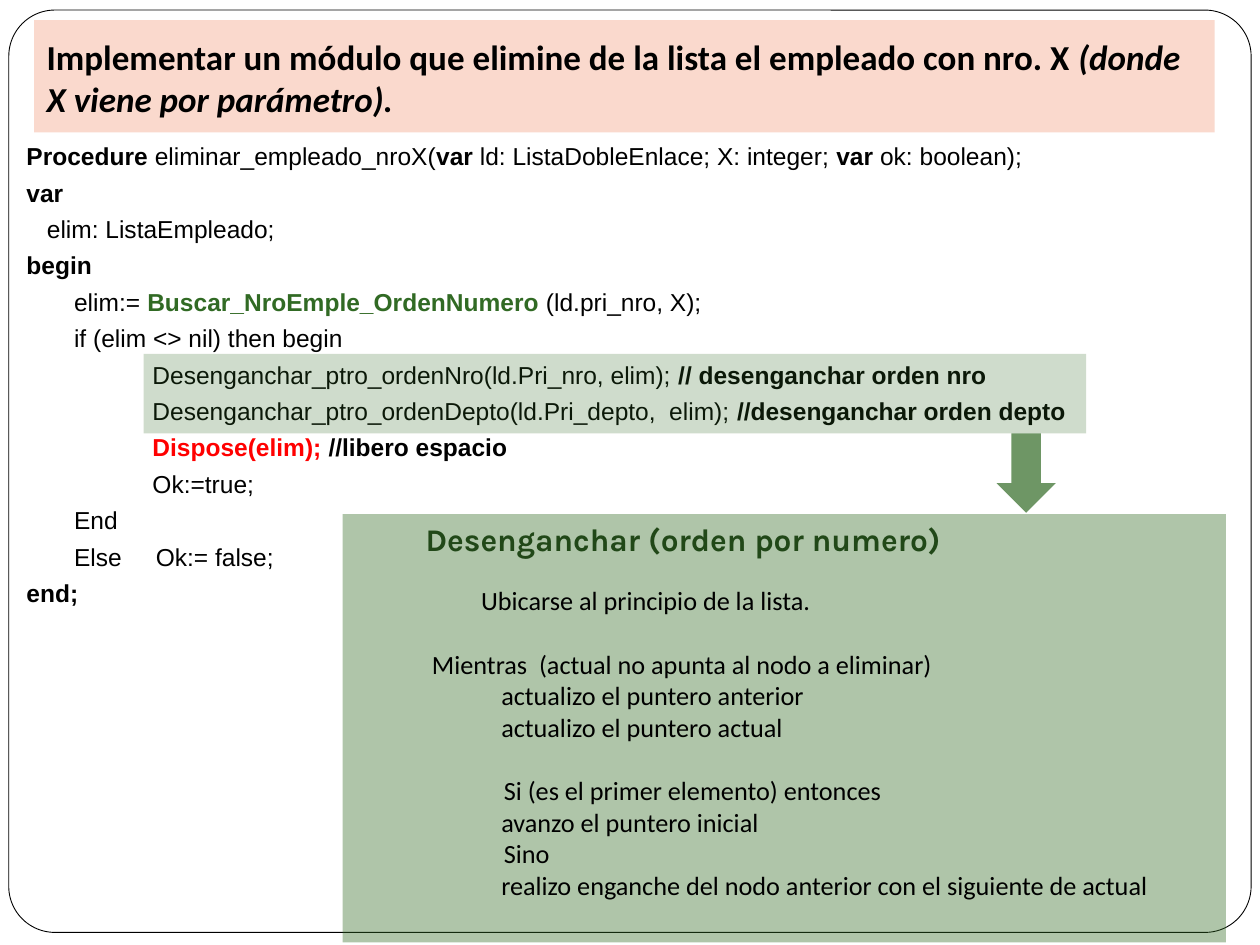
"""Build the slide on removing an employee from a doubly linked list."""
from dataclasses import dataclass

from lxml import etree
from pptx import Presentation
from pptx.dml.color import RGBColor
from pptx.enum import shapes, text
from pptx.oxml.ns import qn
from pptx.util import Inches, Pt


@dataclass(frozen=True)
class Theme:
    black: str = "000000"
    white: str = "FFFFFF"
    peach: str = "FAD9CD"
    green: str = "316A24"
    dark_green: str = "214818"
    red: str = "FF0000"
    statement_size: float = 20
    heading_size: float = 18
    step_size: float = 15
    code_size: float = 14
    code_font: str = "Arial"
    step_font: str = "Calibri"
    heading_font: str = "Karla"


@dataclass(frozen=True)
class Piece:
    words: str
    bold: bool = False
    color: str = Theme.black
    italic: bool = False


@dataclass(frozen=True)
class CodeLine:
    pieces: list[Piece]
    indent: float = 0


@dataclass(frozen=True)
class Step:
    words: str
    indent: float
    before: float = 0


@dataclass(frozen=True)
class Box:
    left: float
    top: float
    width: float
    height: float

    def lengths(self) -> tuple:
        return tuple(Inches(v) for v in (self.left, self.top, self.width, self.height))


THEME = Theme()

STATEMENT = [
    Piece("Implementar un módulo que elimine de la lista el empleado con nro. X ", True),
    Piece("(donde X viene por parámetro).", True, italic=True),
]

CODE = [
    CodeLine([Piece("Procedure", True), Piece(" eliminar_empleado_nroX("),
              Piece("var", True), Piece(" ld: ListaDobleEnlace; X: integer; "),
              Piece("var", True), Piece(" ok: boolean);")]),
    CodeLine([Piece("var", True)]),
    CodeLine([Piece("   elim: ListaEmpleado;")]),
    CodeLine([Piece("begin", True)]),
    CodeLine([Piece("       elim:= "),
              Piece("Buscar_NroEmple_OrdenNumero ", True, THEME.green),
              Piece("(ld.pri_nro, X);")]),
    CodeLine([Piece("       if (elim <> nil) then begin")]),
    CodeLine([Piece("Desenganchar_ptro_ordenNro(ld.Pri_nro, elim); "),
              Piece("// desenganchar orden nro", True)], 1),
    CodeLine([Piece("Desenganchar_ptro_ordenDepto(ld.Pri_depto,  elim); "),
              Piece("//desenganchar orden depto", True)], 1),
    CodeLine([Piece("Dispose(elim); ", True, THEME.red),
              Piece("//libero espacio", True)], 1),
    CodeLine([Piece("Ok:=true;")], 1),
    CodeLine([Piece("       End")]),
    CodeLine([Piece("       Else     Ok:= false;")]),
    CodeLine([Piece("end;", True)]),
]

HEADING = Step("Desenganchar (orden por numero)", 0.56)
STEPS = [
    Step("Ubicarse al principio de la lista.", 1, 15),
    Step("Mientras  (actual no apunta al nodo a eliminar)", 0.61, 18.3),
    Step("actualizo el puntero anterior", 1.16),
    Step("actualizo el puntero actual", 1.16),
    Step("Si (es el primer elemento) entonces", 1.18, 18.3),
    Step("avanzo el puntero inicial", 1.16),
    Step("Sino", 1.18),
    Step("realizo enganche del nodo anterior con el siguiente de actual", 1.16),
]


def paint(shape, color: str, opacity: int = 100) -> None:
    shape.fill.solid()
    shape.fill.fore_color.rgb = RGBColor.from_string(color)
    if opacity < 100:
        tint = shape.fill._xPr.find(qn("a:solidFill"))[0]
        etree.SubElement(tint, qn("a:alpha")).set("val", str(opacity * 1000))


def add_block(slide, kind, box: Box, color: str, opacity: int = 100):
    block = slide.shapes.add_shape(kind, *box.lengths())
    block.shadow.inherit = False
    paint(block, color, opacity)
    block.line.fill.background()
    return block


def place(holder, box: Box, anchor, bottom: float = 0.05):
    holder.left, holder.top, holder.width, holder.height = box.lengths()
    frame = holder.text_frame
    frame.word_wrap = True
    frame.auto_size = text.MSO_AUTO_SIZE.NONE
    frame.vertical_anchor = anchor
    frame.margin_left = frame.margin_right = Inches(0.1)
    frame.margin_top, frame.margin_bottom = Inches(0.05), Inches(bottom)
    return frame


def next_paragraph(frame, index: int, indent: float = 0, before: float = 0):
    paragraph = frame.add_paragraph() if index else frame.paragraphs[0]
    paragraph.alignment = text.PP_ALIGN.LEFT
    paragraph.line_spacing = 1.0
    paragraph.space_before = Pt(before if index else 0)
    properties = paragraph._p.get_or_add_pPr()
    properties.set("marL", str(Inches(indent)))
    properties.set("indent", "0")
    etree.SubElement(properties, qn("a:buNone"))
    return paragraph


def add_piece(paragraph, piece: Piece, font: str, size: float) -> None:
    run = paragraph.add_run()
    run.text = piece.words
    run.font.name, run.font.size = font, Pt(size)
    run.font.bold, run.font.italic = piece.bold, piece.italic
    run.font.color.rgb = RGBColor.from_string(piece.color)


def add_border(slide) -> None:
    border = add_block(slide, shapes.MSO_SHAPE.ROUNDED_RECTANGLE,
                       Box(0.07, 0.08, 9.86, 7.32), THEME.white)
    border.adjustments[0] = 0.05
    border.line.color.rgb = RGBColor.from_string(THEME.black)
    border.line.width = Pt(0.5)


def write_statement(holder) -> None:
    frame = place(holder, Box(0.27, 0.16, 9.37, 0.89), text.MSO_ANCHOR.BOTTOM, 0.1)
    paint(holder, THEME.peach)
    paragraph = next_paragraph(frame, 0)
    for piece in STATEMENT:
        add_piece(paragraph, piece, THEME.step_font, THEME.statement_size)


def write_code(holder) -> None:
    frame = place(holder, Box(0.11, 1.07, 9.65, 3.8), text.MSO_ANCHOR.TOP)
    for index, line in enumerate(CODE):
        paragraph = next_paragraph(frame, index, line.indent, before=4)
        for piece in line.pieces:
            add_piece(paragraph, piece, THEME.code_font, THEME.code_size)


def add_algorithm(slide) -> None:
    box = Box(2.72, 4.08, 7.01, 3.4)
    panel = add_block(slide, shapes.MSO_SHAPE.RECTANGLE, box, THEME.green, 39)
    frame = place(panel, box, text.MSO_ANCHOR.TOP)
    add_piece(next_paragraph(frame, 0, HEADING.indent),
              Piece(HEADING.words, True, THEME.dark_green),
              THEME.heading_font, THEME.heading_size)
    for index, step in enumerate(STEPS, 1):
        add_piece(next_paragraph(frame, index, step.indent, step.before),
                  Piece(step.words), THEME.step_font, THEME.step_size)


def main() -> None:
    deck = Presentation()
    deck.slide_width, deck.slide_height = Inches(10), Inches(7.5)
    slide = deck.slides.add_slide(deck.slide_layouts[1])
    statement, code = slide.shapes.title, slide.placeholders[1]
    add_border(slide)
    for holder in (code, statement):
        slide.shapes._spTree.append(holder._element)
    write_statement(statement)
    write_code(code)
    add_block(slide, shapes.MSO_SHAPE.RECTANGLE, Box(1.14, 2.81, 7.48, 0.63), THEME.green, 23)
    add_algorithm(slide)
    add_block(slide, shapes.MSO_SHAPE.DOWN_ARROW, Box(7.91, 3.44, 0.47, 0.63), THEME.green, 70)
    deck.save("out.pptx")


if __name__ == "__main__":
    main()
